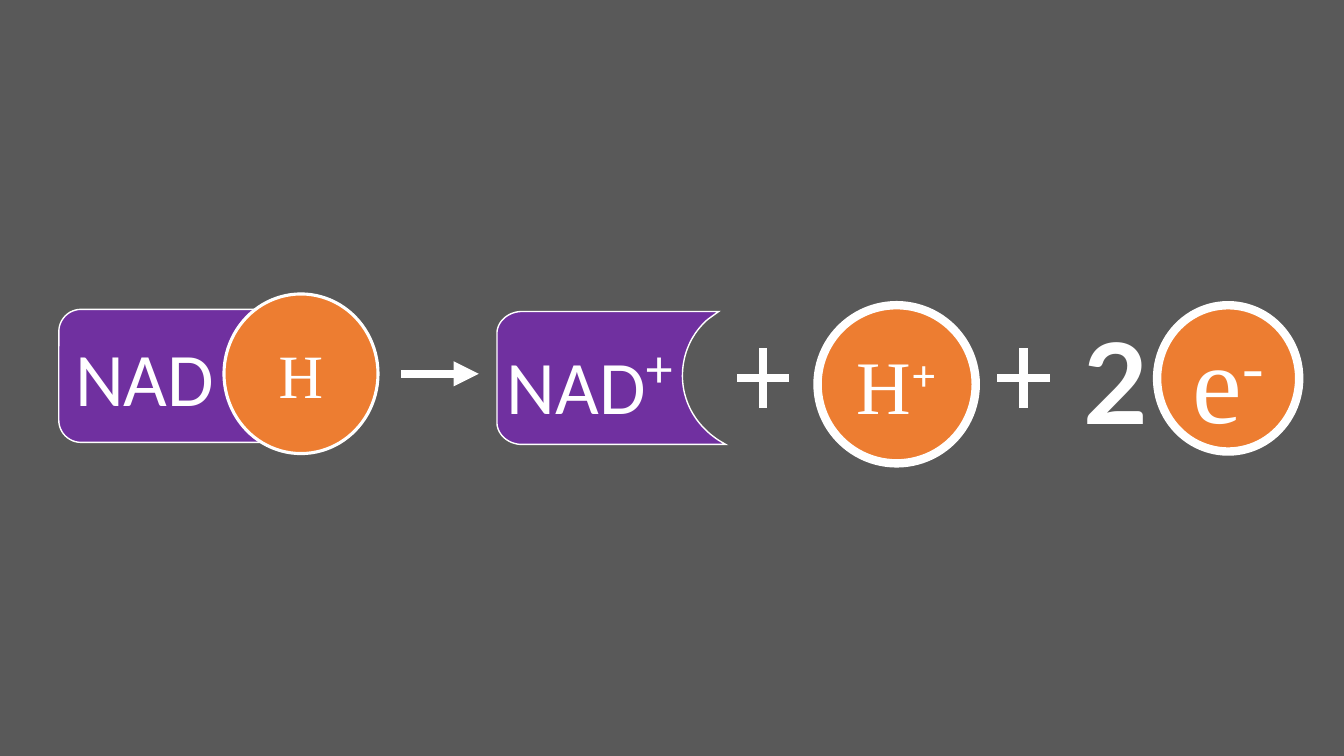
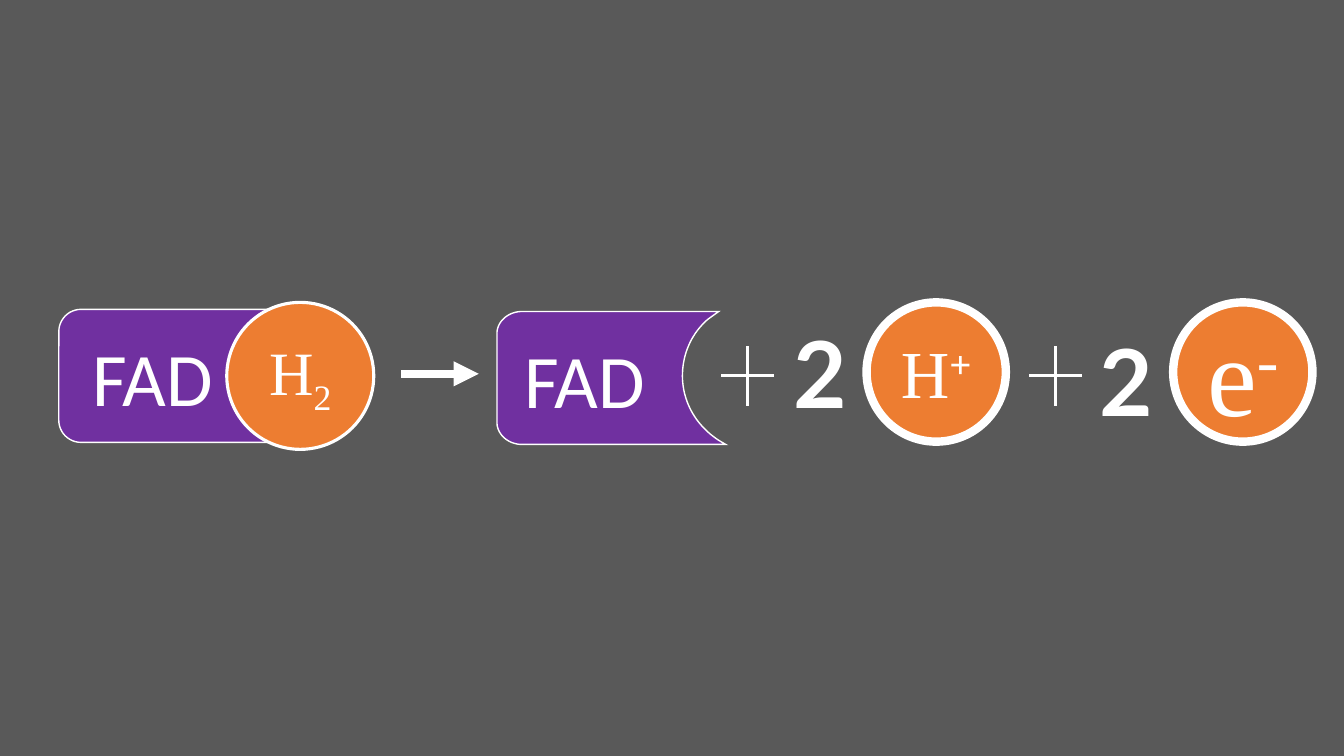
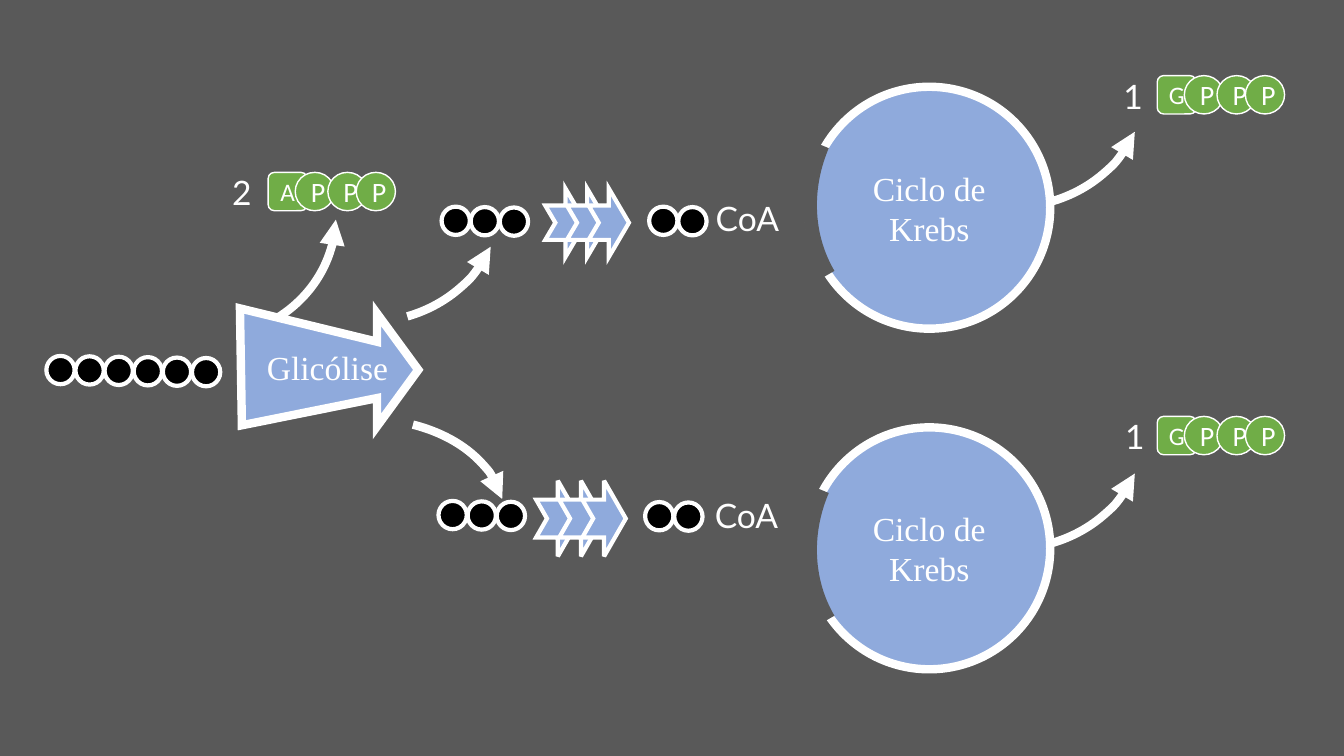
from dataclasses import dataclass
from typing import NamedTuple

from lxml.etree import SubElement
from pptx import Presentation
from pptx.dml.color import RGBColor
from pptx.enum.shapes import MSO_CONNECTOR as Connector, MSO_SHAPE as Preset
from pptx.enum.text import MSO_ANCHOR as Anchor, MSO_AUTO_SIZE as AutoSize, PP_ALIGN as Align
from pptx.oxml.ns import qn
from pptx.shapes.autoshape import Shape
from pptx.slide import Slide
from pptx.util import Pt

GREY = RGBColor(0x59, 0x59, 0x59)
WHITE = RGBColor(0xFF, 0xFF, 0xFF)
BLACK = RGBColor(0x00, 0x00, 0x00)
ORANGE = RGBColor(0xED, 0x7D, 0x31)
PURPLE = RGBColor(0x70, 0x30, 0xA0)
BLUE = RGBColor(0x8F, 0xAA, 0xDC)
GREEN = RGBColor(0x70, 0xAD, 0x47)

SANS = "Calibri"
SERIF = "Times New Roman"
LATO = "Lato"
INSET = 7.2
THICK = 6
SUPERSCRIPT = 30000
SUBSCRIPT = -25000


class Box(NamedTuple):
    left: float
    top: float
    width: float
    height: float


class Point(NamedTuple):
    x: float
    y: float


class Span(NamedTuple):
    text: str
    size: float
    font: str
    bold: bool = False
    baseline: int = 0


@dataclass(frozen=True)
class Ball:
    box: Box
    spans: list[Span]
    border: float = THICK


@dataclass(frozen=True)
class Reaction:
    carrier: list[Span]
    oxidised: list[Span]
    indent: float
    balls: list[Ball]
    pluses: list[Point]
    plus_width: float
    counts: list[Box]
    count_size: float


@dataclass(frozen=True)
class Arc:
    box: Box
    start: float
    end: float
    rotation: float = 286.9
    flips: tuple[str, ...] = ("flipV",)


@dataclass(frozen=True)
class KrebsCycle:
    circle_top: float
    arc_top: float
    gap_top: float


@dataclass(frozen=True)
class Chain:
    left: float
    top: float
    count: int


@dataclass(frozen=True)
class ArrowRow:
    first: Box
    pitch: float


@dataclass(frozen=True)
class Phosphate:
    left: float
    top: float
    base: str
    count: str
    count_left: float


CARRIER_BOX = Box(42, 221, 198, 95)
REACTION_ARROW = (Point(286.5, 267), Point(342, 267))
PLUS_WIDTH, PLUS_HEIGHT = 37.4, 42.5

REACTIONS = [
    Reaction(
        carrier=[Span("NAD", 54, SANS)],
        oxidised=[Span("NAD", 54, SANS), Span("+", 66, SANS, baseline=SUPERSCRIPT)],
        indent=0,
        balls=[
            Ball(Box(160, 210, 110, 114), [Span("H", 44, SERIF)], 2.25),
            Ball(Box(584, 218, 113, 113),
                 [Span("H", 54, SERIF), Span("+", 54, SERIF, True, SUPERSCRIPT)]),
            Ball(Box(826.5, 218, 101.5, 104.5),
                 [Span("e", 80, SERIF), Span("-", 80, SERIF, baseline=SUPERSCRIPT)]),
        ],
        pluses=[Point(545, 270), Point(731, 270)],
        plus_width=THICK,
        counts=[Box(767, 219.6, 52.5, 104.4)],
        count_size=80,
    ),
    Reaction(
        carrier=[Span("FAD", 54, SANS)],
        oxidised=[Span("FAD", 54, SANS)],
        indent=12.2,
        balls=[
            Ball(Box(162, 216, 105, 105),
                 [Span("H", 44, SERIF), Span("2", 44, SERIF, baseline=SUBSCRIPT)], 2.25),
            Ball(Box(619, 216, 99.5, 99.5),
                 [Span("H", 48, SERIF), Span("+", 48, SERIF, True, SUPERSCRIPT)]),
            Ball(Box(838, 216, 99.5, 99.5),
                 [Span("e", 80, SERIF), Span("-", 80, SERIF, baseline=SUPERSCRIPT)]),
        ],
        pluses=[Point(534, 268.5), Point(754, 268.5)],
        plus_width=2.25,
        counts=[Box(560, 222.5, 52.5, 87), Box(778.3, 228.2, 52.5, 87)],
        count_size=66,
    ),
]

GLYCOLYSIS = [
    Point(171.4, 220.3), Point(269.3, 244.1), Point(269.3, 223.9), Point(298.8, 264.2),
    Point(269.3, 304.6), Point(269.3, 284.4), Point(172.8, 303.8),
]
ATP_ARC = Arc(Box(43.2, 43.9, 187.2, 208), 131.175, 169.117)
PYRUVATE_ARCS = [
    Arc(Box(161.3, 31.7, 187.2, 208), 131.175, 158.337),
    Arc(Box(182.2, 270.7, 149.8, 207.4), 127.158, 158.337, 266.1, ("flipH", "flipV")),
]
KREBS_CYCLES = [KrebsCycle(62, -50.4, 36.7), KrebsCycle(305.3, 193.7, 283)]
CHAINS = [
    Chain(33.1, 254.2, 6),
    Chain(315.4, 147.6, 3), Chain(313.2, 357.8, 3),
    Chain(463.7, 147.6, 2), Chain(460.8, 358.6, 2),
]
CARBON_SIZE, CARBON_PITCH, CARBON_DROP = 20.2, 20.8, 0.3
ARROW_ROWS = [
    ArrowRow(Box(389.5, 134.6, 28.8, 49), 15.5),
    ArrowRow(Box(383, 343.4, 31, 54), 16.5),
]
COENZYMES = [Box(499.7, 137.5, 68.4, 36), Box(499, 350, 68.4, 36)]
PHOSPHATES = [
    Phosphate(191.5, 123.1, "A", "2", 154.1),
    Phosphate(826.6, 54, "G", "1", 790.6),
    Phosphate(826.6, 297.4, "G", "1", 792),
]
PHOSPHATE_OFFSETS = (19.4, 42.7, 63)


def curve(start: Point, first: Point, second: Point, end: Point, steps: int = 24) -> list[Point]:
    points = []
    for step in range(1, steps + 1):
        t = step / steps
        weights = ((1 - t) ** 3, 3 * t * (1 - t) ** 2, 3 * t * t * (1 - t), t ** 3)
        controls = (start, first, second, end)
        points.append(Point(
            sum(weight * control.x for weight, control in zip(weights, controls)),
            sum(weight * control.y for weight, control in zip(weights, controls)),
        ))
    return points


def notched_outline() -> list[Point]:
    left, corner, top, bottom = 355, 373, 222.5, 317.5
    upper, waist, lower = Point(505.5, 228.2), Point(487.5, 268.5), Point(514.8, 315.4)
    return [
        Point(corner, top), Point(513.4, top), upper,
        *curve(upper, Point(494, 238.3), Point(487.5, 252.7), waist),
        *curve(waist, Point(487.5, 288), Point(498.2, 305.3), lower),
        Point(518.4, bottom), Point(corner, bottom),
        *curve(Point(corner, bottom), Point(363, bottom), Point(left, 310.3), Point(left, 301.7)),
        Point(left, 238.3),
        *curve(Point(left, 238.3), Point(left, 229.7), Point(363, top), Point(corner, top)),
    ]


def set_line(shape, colour: RGBColor, width: float, arrowhead: bool = False) -> None:
    shape.line.color.rgb = colour
    shape.line.width = Pt(width)
    line = shape._element.spPr.find(qn("a:ln"))
    SubElement(line, qn("a:miter")).set("lim", "800000")
    if arrowhead:
        SubElement(line, qn("a:tailEnd")).set("type", "triangle")


def style(shape: Shape, fill: RGBColor, border: float) -> None:
    shape.shadow.inherit = False
    shape.fill.solid()
    shape.fill.fore_color.rgb = fill
    set_line(shape, WHITE, border)


def write(shape: Shape, spans: list[Span], align: Align = Align.CENTER,
          anchor: Anchor = Anchor.MIDDLE, indent: float = 0) -> None:
    frame = shape.text_frame
    frame.word_wrap = True
    frame.vertical_anchor = anchor
    frame.margin_left = Pt(INSET + indent)
    para = frame.paragraphs[0]
    para.alignment = align
    for span in spans:
        run = para.add_run()
        run.text = span.text
        run.font.size = Pt(span.size)
        run.font.name = span.font
        run.font.bold = span.bold
        run.font.color.rgb = WHITE
        if span.baseline:
            run._r.get_or_add_rPr().set("baseline", str(span.baseline))


def add_preset(page: Slide, preset: Preset, box: Box, fill: RGBColor, border: float) -> Shape:
    shape = page.shapes.add_shape(preset, *map(Pt, box))
    style(shape, fill, border)
    return shape


def add_outline(page: Slide, points: list[Point], fill: RGBColor, border: float) -> Shape:
    start, *others = [(Pt(point.x), Pt(point.y)) for point in points]
    builder = page.shapes.build_freeform(*start, scale=1.0)
    builder.add_line_segments(others, close=True)
    shape = builder.convert_to_shape()
    style(shape, fill, border)
    return shape


def add_label(page: Slide, box: Box, span: Span) -> None:
    label = page.shapes.add_textbox(*map(Pt, box))
    write(label, [span], anchor=Anchor.TOP)
    label.text_frame.auto_size = AutoSize.SHAPE_TO_FIT_TEXT


def add_line(page: Slide, start: Point, end: Point, width: float, arrowhead: bool = False) -> None:
    line = page.shapes.add_connector(Connector.STRAIGHT, *map(Pt, (*start, *end)))
    set_line(line, WHITE, width, arrowhead)
    SubElement(line._element.spPr, qn("a:effectLst"))


def add_plus(page: Slide, centre: Point, width: float) -> None:
    for dx, dy in ((0, PLUS_HEIGHT / 2), (PLUS_WIDTH / 2, 0)):
        add_line(page, Point(centre.x - dx, centre.y - dy),
                 Point(centre.x + dx, centre.y + dy), width)


def add_arc(page: Slide, arc: Arc, colour: RGBColor = WHITE, width: float = THICK,
            arrowhead: bool = True) -> None:
    shape = page.shapes.add_shape(Preset.ARC, *map(Pt, arc.box))
    shape.adjustments[0] = arc.start
    shape.adjustments[1] = arc.end
    shape.rotation = arc.rotation
    for flip in arc.flips:
        shape._element.spPr.get_or_add_xfrm().set(flip, "1")
    shape.shadow.inherit = False
    shape.fill.background()
    set_line(shape, colour, width, arrowhead)


def add_krebs(page: Slide, cycle: KrebsCycle) -> None:
    circle = add_preset(page, Preset.OVAL, Box(577.4, cycle.circle_top, 172.8, 172.8), BLUE, THICK)
    write(circle, [Span("Ciclo de Krebs", 24, SERIF)])
    add_arc(page, Arc(Box(621.4, cycle.arc_top, 187.2, 208), 131.175, 158.337))
    gap = Arc(Box(581, cycle.gap_top, 185.8, 203.8), 112.971, 147.031, 30.1)
    add_arc(page, gap, GREY, 9.75, arrowhead=False)


def add_phosphate(page: Slide, group: Phosphate) -> None:
    base = add_preset(page, Preset.ROUNDED_RECTANGLE,
                      Box(group.left, group.top, 28, 27.4), GREEN, 1)
    write(base, [Span(group.base, 18, SANS)])
    for offset in PHOSPHATE_OFFSETS:
        circle = add_preset(page, Preset.OVAL,
                            Box(group.left + offset, group.top, 28, 27.4), GREEN, 1)
        write(circle, [Span("P", 20, SANS)])
    add_label(page, Box(group.count_left, group.top - 3.6, 37.4, 36), Span(group.count, 24, LATO))


def draw_reaction(page: Slide, reaction: Reaction) -> None:
    carrier = add_preset(page, Preset.ROUNDED_RECTANGLE, CARRIER_BOX, PURPLE, 1)
    write(carrier, reaction.carrier, Align.LEFT, indent=reaction.indent)
    oxidised = add_outline(page, notched_outline(), PURPLE, 1)
    write(oxidised, reaction.oxidised, Align.LEFT, indent=reaction.indent)
    for ball in reaction.balls:
        write(add_preset(page, Preset.OVAL, ball.box, ORANGE, ball.border), ball.spans)
    for box in reaction.counts:
        add_label(page, box, Span("2", reaction.count_size, LATO, True))
    for centre in reaction.pluses:
        add_plus(page, centre, reaction.plus_width)
    add_line(page, *REACTION_ARROW, THICK, arrowhead=True)


def draw_respiration(page: Slide) -> None:
    add_arc(page, ATP_ARC)
    glycolysis = add_outline(page, GLYCOLYSIS, BLUE, THICK)
    write(glycolysis, [Span("Glicólise", 24, SERIF)], Align.LEFT, indent=12)
    for cycle in KREBS_CYCLES:
        add_krebs(page, cycle)
    for chain in CHAINS:
        for index in range(chain.count):
            box = Box(chain.left + index * CARBON_PITCH, chain.top + index * CARBON_DROP,
                      CARBON_SIZE, CARBON_SIZE)
            add_preset(page, Preset.OVAL, box, BLACK, 3)
    for row in ARROW_ROWS:
        for index in range(3):
            box = row.first._replace(left=row.first.left + index * row.pitch)
            add_preset(page, Preset.NOTCHED_RIGHT_ARROW, box, BLUE, 3)
    for box in COENZYMES:
        add_label(page, box, Span("CoA", 24, LATO))
    for arc in PYRUVATE_ARCS:
        add_arc(page, arc)
    for group in PHOSPHATES:
        add_phosphate(page, group)


def main() -> None:
    deck = Presentation()
    deck.slide_width, deck.slide_height = Pt(960), Pt(540)
    background = deck.slide_master.background.fill
    background.solid()
    background.fore_color.rgb = GREY
    blank = deck.slide_layouts.get_by_name("Blank")
    for reaction in REACTIONS:
        draw_reaction(deck.slides.add_slide(blank), reaction)
    draw_respiration(deck.slides.add_slide(blank))
    deck.save("out.pptx")


if __name__ == "__main__":
    main()
